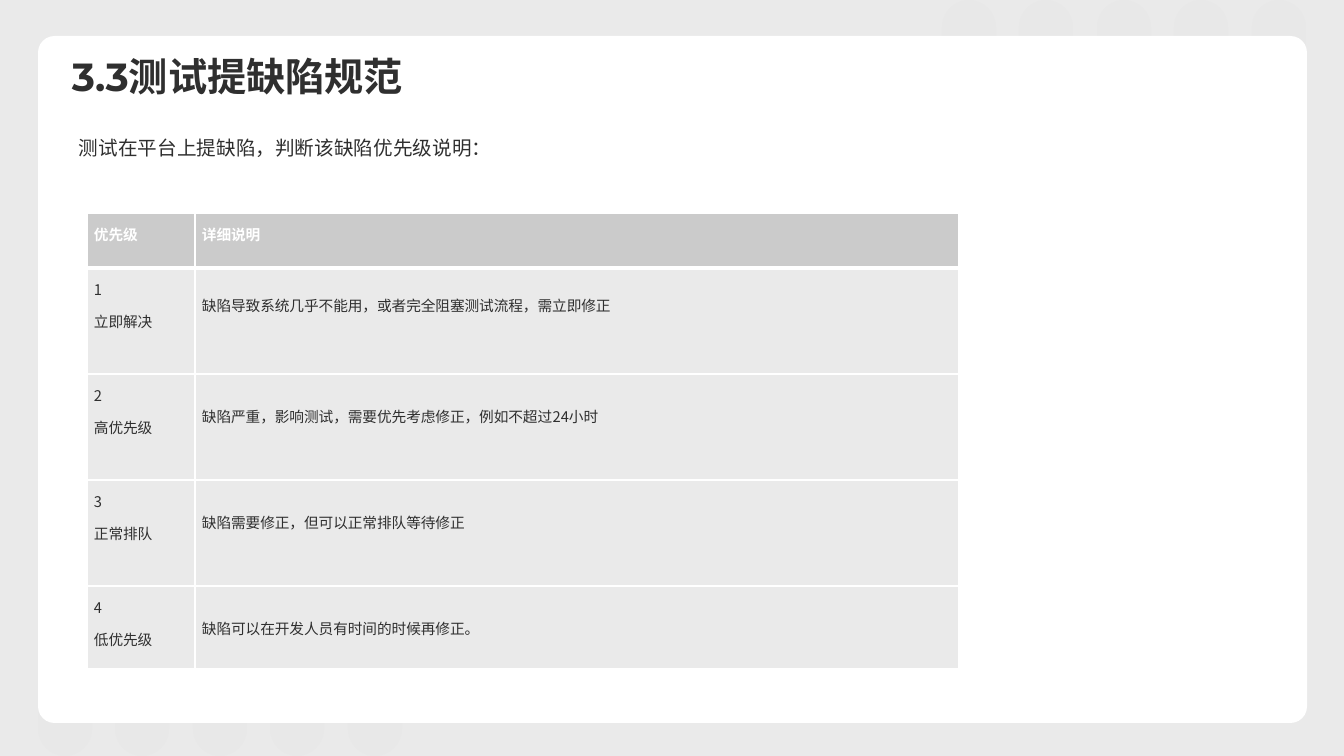
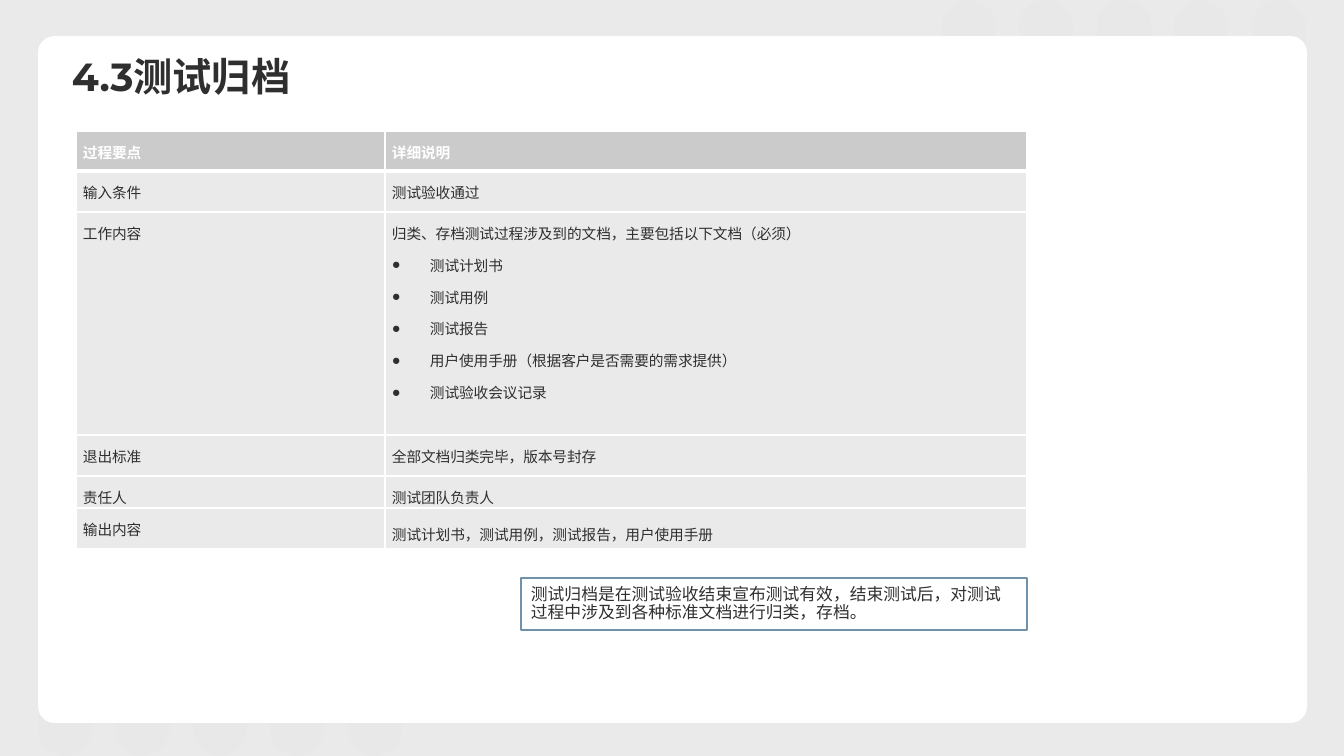
from lxml.etree import SubElement
from pptx import Presentation
from pptx.dml.color import RGBColor
from pptx.enum.shapes import MSO_SHAPE
from pptx.enum.text import MSO_ANCHOR, PP_ALIGN
from pptx.oxml.ns import qn
from pptx.util import Pt

SCALE = 12192000 / 1344
WIDE, HIGH = 1344, 756
INK, WHITE, GREY = "2F2F2F", "FFFFFF", "EAEAEA"
HEAD, PILL, EDGE = "CBCBCB", "D9D9D9", "6F91A9"
NOTO, ARIAL, MONT = "Noto Sans CJK SC", "Arial", "Montserrat"


def px(num):
    return round(num * SCALE)


def spot(*box):
    return [px(num) for num in box]


def paint(fill, color):
    fill.solid()
    fill.fore_color.rgb = RGBColor.from_string(color)


def mark(para):
    """Give a paragraph a round bullet and a hanging indent."""
    props = para._p.get_or_add_pPr()
    props.set("marL", str(px(38)))
    props.set("indent", str(px(-38)))
    SubElement(props, qn("a:buFont"), typeface=ARIAL)
    SubElement(props, qn("a:buChar"), char="●")


def write(frame, text, size=10.5, font=NOTO, color=INK, bold=False,
          gap=1.5, align=PP_ALIGN.LEFT, pad=(10, 5)):
    """Fill a frame, one paragraph a line; a leading • makes a bullet."""
    frame.word_wrap = True
    frame.margin_left = frame.margin_right = px(pad[0])
    frame.margin_top = frame.margin_bottom = px(pad[1])
    for i, line in enumerate(text.split("\n")):
        para = frame.add_paragraph() if i else frame.paragraphs[0]
        para.alignment, para.line_spacing = align, gap
        if line.startswith("•"):
            mark(para)
        run = para.add_run()
        run.text = line.lstrip("•")
        run.font.size, run.font.bold = Pt(size), bold
        run.font.color.rgb = RGBColor.from_string(color)
        run.font.name = font
        SubElement(run._r.get_or_add_rPr(), qn("a:ea"), typeface=NOTO)


def label(slide, box, text, **style):
    write(slide.shapes.add_textbox(*spot(*box)).text_frame, text, **style)


def block(slide, kind, box, color, round_by=None, alpha=None, edge=None):
    shape = slide.shapes.add_shape(kind, *spot(*box))
    shape.shadow.inherit = False
    paint(shape.fill, color)
    if round_by is not None:
        shape.adjustments[0] = round_by
    if alpha is not None:
        tint = shape.fill._xPr.find(".//" + qn("a:srgbClr"))
        SubElement(tint, qn("a:alpha"), val=str(alpha * 1000))
    if edge:
        paint(shape.line.fill, edge)
        shape.line.width = Pt(1)
    else:
        shape.line.fill.background()
    return shape


def rule(cell, **widths):
    """Draw white cell borders; widths are points by side."""
    props = cell._tc.get_or_add_tcPr()
    for side in "LRTB":
        line = SubElement(props, qn("a:ln" + side),
                          w=str(Pt(widths.get(side, 1))))
        fill = SubElement(line, qn("a:solidFill"))
        SubElement(fill, qn("a:srgbClr"), val=WHITE)


def grid(slide, left, top, cols, rows, cells):
    """Place a table; a cell is its text, or text with top, font."""
    box = spot(left, top, sum(cols), sum(rows))
    table = slide.shapes.add_table(len(rows), len(cols), *box).table
    for col, width in zip(table.columns, cols):
        col.width = px(width)
    for r, (row, high) in enumerate(zip(table.rows, rows)):
        row.height = px(high)
        for cell, item in zip(row.cells, cells[r]):
            text, drop, font = (item, 0, NOTO) if isinstance(item, str) else item
            rule(cell, B=1 if r else 3, T=3 if r == 1 else 1)
            paint(cell.fill, GREY if r else HEAD)
            write(cell.text_frame, text, font=font, bold=not r,
                  color=INK if r else WHITE, align=PP_ALIGN.JUSTIFY)
            cell.margin_left = cell.margin_right = px(7)
            cell.margin_top, cell.margin_bottom = px(drop), 0


def base(deck, title):
    """Add a slide with the pills, the white card and its title."""
    slide = deck.slides.add_slide(deck.slide_layouts[6])
    for left, top in ((38, HIGH - 161), (942, 0)):
        for i in range(5):
            box = (left + i * 388 // 5, top, 54, 161)
            block(slide, MSO_SHAPE.ROUNDED_RECTANGLE, box, PILL, 0.5, alpha=10)
    block(slide, MSO_SHAPE.ROUNDED_RECTANGLE, (38, 36, 1269, 687), WHITE, 0.024)
    label(slide, (62, 58, 393, 50), title, size=28, font=MONT, bold=True,
          gap=0.9, pad=(10, 0))
    return slide


def defects(deck):
    slide = base(deck, "3.3测试提缺陷规范")
    grid(slide, 87, 213, (108, 764), (55, 106, 106, 106, 83), (
        ("优先级", "详细说明"),
        ("1\n立即解决",
         ("缺陷导致系统几乎不能用，或者完全阻塞测试流程，需立即修正", 16, ARIAL)),
        ("2\n高优先级",
         ("缺陷严重，影响测试，需要优先考虑修正，例如不超过24小时", 21, NOTO)),
        ("3\n正常排队", ("缺陷需要修正，但可以正常排队等待修正", 21, NOTO)),
        ("4\n低优先级", ("缺陷可以在开发人员有时间的时候再修正。", 21, NOTO)),
    ))
    label(slide, (69, 134, 743, 38), "测试在平台上提缺陷，判断该缺陷优先级说明：",
          size=14, font=ARIAL, gap=0.88)


def archive(deck):
    slide = base(deck, "4.3测试归档")
    grid(slide, 76, 131, (309, 642), (40, 41, 223, 41, 32, 41), (
        ("过程要点", "详细说明"),
        ("输入条件", ("测试验收通过", 0, ARIAL)),
        ("工作内容",
         "归类、存档测试过程涉及到的文档，主要包括以下文档（必须）\n"
         "•测试计划书\n•测试用例\n•测试报告\n"
         "•用户使用手册（根据客户是否需要的需求提供）\n•测试验收会议记录"),
        ("退出标准", "全部文档归类完毕，版本号封存"),
        ("责任人", "测试团队负责人"),
        ("输出内容", ("测试计划书，测试用例，测试报告，用户使用手册", 5, ARIAL)),
    ))
    note = block(slide, MSO_SHAPE.RECTANGLE, (521, 578, 506, 52), WHITE, edge=EDGE)
    note.text_frame.vertical_anchor = MSO_ANCHOR.MIDDLE
    write(note.text_frame,
          "测试归档是在测试验收结束宣布测试有效，结束测试后，"
          "对测试过程中涉及到各种标准文档进行归类，存档。",
          size=12, font=ARIAL, gap=0.88)


def main():
    deck = Presentation()
    deck.slide_width, deck.slide_height = spot(WIDE, HIGH)
    paint(deck.slide_master.background.fill, GREY)
    defects(deck)
    archive(deck)
    deck.save("out.pptx")


if __name__ == "__main__":
    main()
